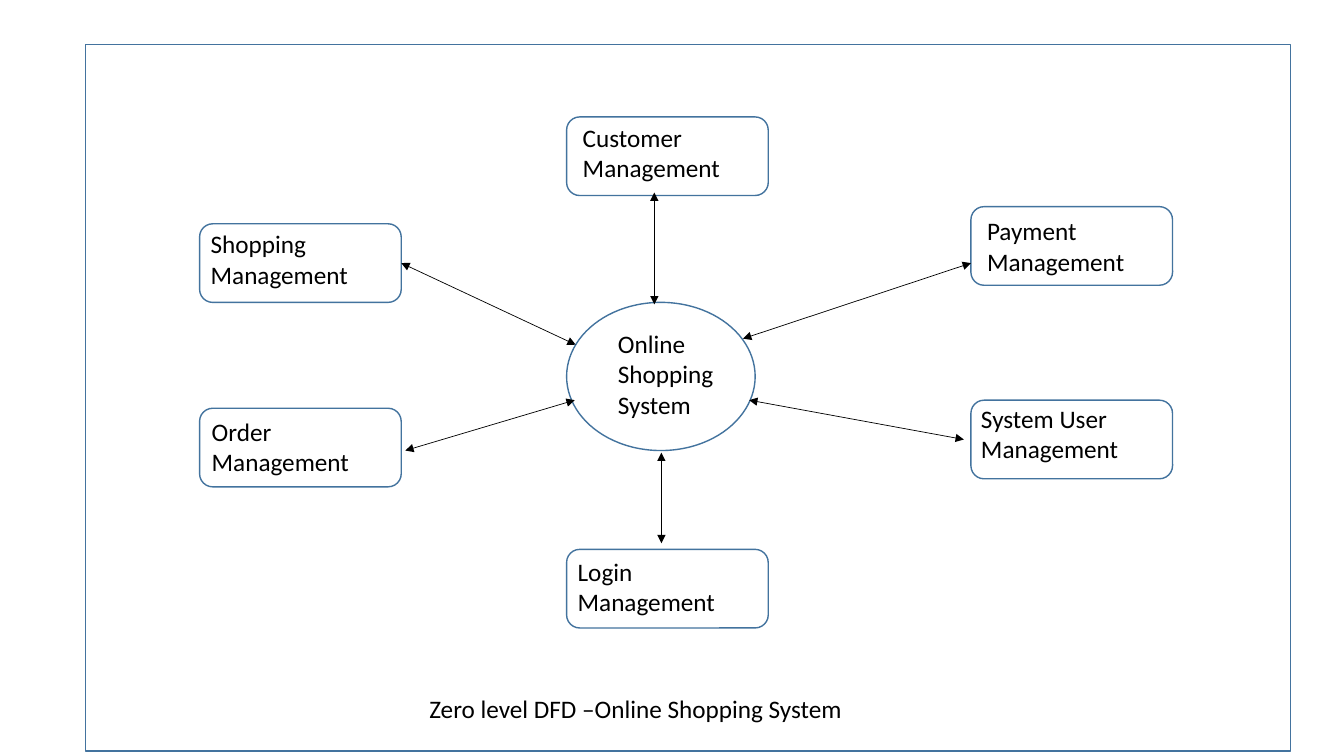
from lxml import etree
from pptx import Presentation
from pptx import util as u
from pptx.dml.color import RGBColor
from pptx.enum import shapes, text
from pptx.oxml import ns

SHAPE = shapes.MSO_SHAPE


def colour(value):
    """Turn a hex string into a colour."""
    return RGBColor.from_string(value)


class Diagram:
    """Holds the style and the current slide."""

    font, size = "Calibri", 18
    ink, outline, paper = "000000", "43739E", "FFFFFF"

    def __init__(self, page):
        """Draw on the given slide."""
        self.page = page

    def outlined(self, kind, left, top, width, height):
        """Add a white preset shape with a blue outline."""
        shape = self.page.shapes.add_shape(
            kind, *map(u.Inches, (left, top, width, height)))
        shape.shadow.inherit = False
        shape.fill.solid()
        shape.fill.fore_color.rgb = colour(self.paper)
        shape.line.color.rgb = colour(self.outline)
        shape.line.width = u.Pt(1)

    def arrow(self, start, end):
        """Add a thin line with an arrowhead at both ends."""
        line = self.page.shapes.add_connector(
            shapes.MSO_CONNECTOR.STRAIGHT, *map(u.Inches, (*start, *end)))
        line.line.color.rgb = colour(self.ink)
        line.line.width = u.Pt(0.5)
        stroke = line.line._get_or_add_ln()
        for tag in ("a:headEnd", "a:tailEnd"):
            etree.SubElement(stroke, ns.qn(tag), type="triangle")
        etree.SubElement(stroke.getparent(), ns.qn("a:effectLst"))

    def label(self, lines, left, top, width, height, inset=0.1):
        """Add a text box with one paragraph for each line."""
        box = self.page.shapes.add_textbox(
            *map(u.Inches, (left, top, width, height)))
        frame = box.text_frame
        frame.word_wrap = True
        frame.auto_size = text.MSO_AUTO_SIZE.SHAPE_TO_FIT_TEXT
        frame.margin_left = u.Inches(inset)
        for index, line in enumerate(lines):
            para = frame.add_paragraph() if index else frame.paragraphs[0]
            span = para.add_run()
            span.text = line
            span.font.name = self.font
            span.font.size = u.Pt(self.size)
            span.font.color.rgb = colour(self.ink)


# Name, process box corner, label corner, arrow start, arrow end
PROCESSES = [
    ("Customer", (5.62, 1.16), (5.62, 1.16), (6.49, 1.91), (6.49, 3.02)),
    ("Payment", (9.63, 2.05), (9.63, 2.09), (7.37, 3.36), (9.63, 2.61)),
    ("System User", (9.63, 3.97), (9.57, 3.95), (7.43, 3.97), (9.56, 4.36)),
    ("Login", (5.62, 5.45), (5.57, 5.47), (6.56, 4.49), (6.56, 5.39)),
    ("Shopping", (1.98, 2.22), (1.93, 2.22), (3.98, 2.61), (5.71, 3.42)),
    ("Order", (1.98, 4.05), (1.94, 4.08), (4.02, 4.47), (5.7, 3.97)),
]

deck = Presentation()
deck.slide_width, deck.slide_height = u.Inches(13.33), u.Inches(7.5)
diagram = Diagram(deck.slides.add_slide(deck.slide_layouts[6]))

diagram.outlined(SHAPE.RECTANGLE, 0.85, 0.44, 11.95, 7.01)
diagram.outlined(SHAPE.OVAL, 5.62, 3, 1.87, 1.47)
for name, corner, label_corner, start, end in PROCESSES:
    diagram.outlined(SHAPE.ROUNDED_RECTANGLE, *corner, 2, 0.78)
    diagram.arrow(start, end)
    diagram.label([name, "Management"], *label_corner, 2, 0.71, inset=0.16)
diagram.label(["Online", "Shopping", "System"], 6.03, 3.21, 1.59, 1.01)
diagram.label(["Zero level DFD –Online Shopping System"], 4.16, 6.83, 4.95, 0.4)

deck.save("out.pptx")
